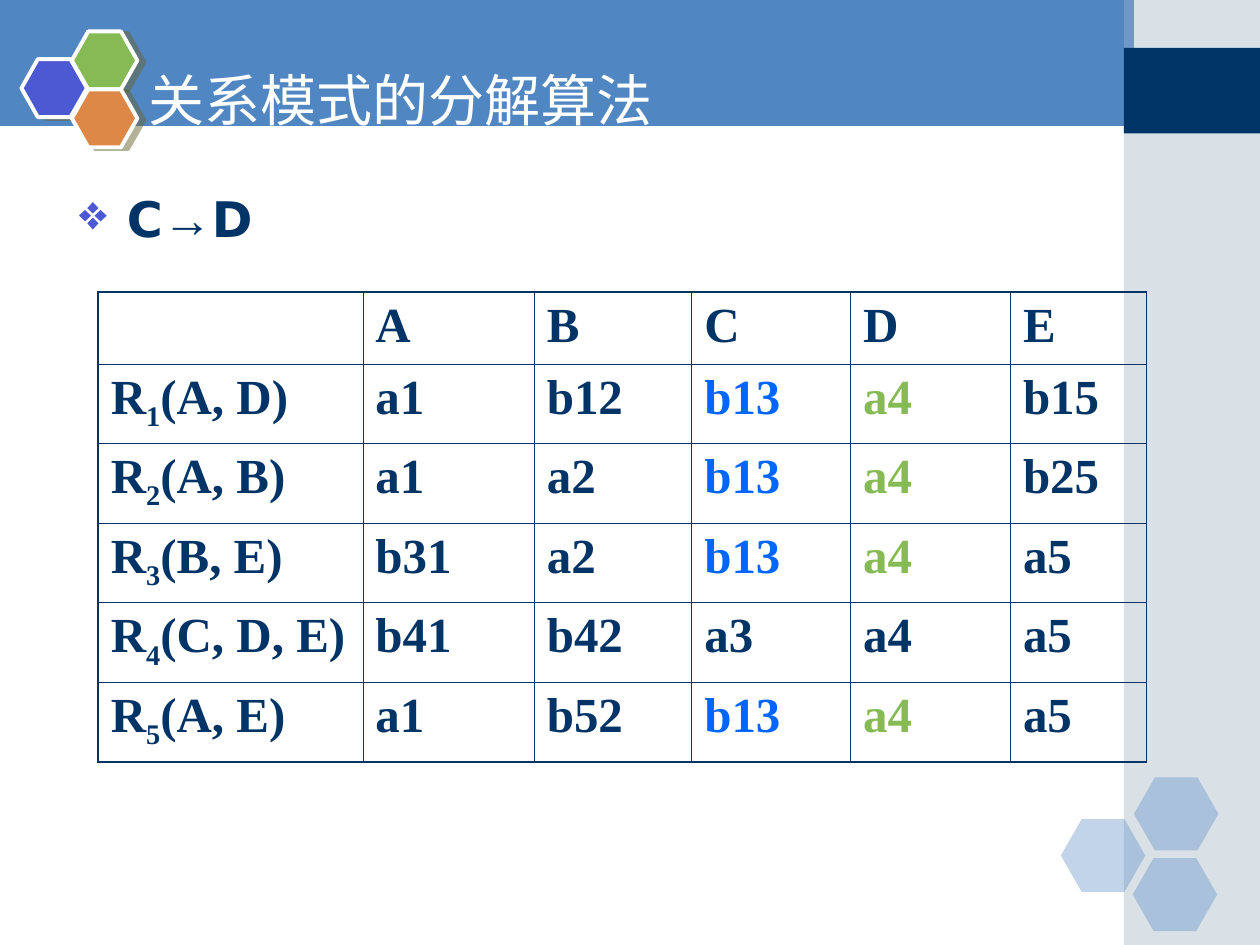
from lxml.etree import SubElement
from pptx import Presentation
from pptx.dml.color import RGBColor
from pptx.enum.shapes import MSO_SHAPE as Shape
from pptx.enum.text import MSO_ANCHOR, MSO_AUTO_SIZE, PP_ALIGN
from pptx.oxml import parse_xml
from pptx.oxml.ns import nsdecls, qn
from pptx.util import Inches, Pt

NAVY = RGBColor(0x00, 0x33, 0x66)
BLUE = RGBColor(0x50, 0x86, 0xC2)
PALE = RGBColor(0xA0, 0xB5, 0xC4)
VIOLET = RGBColor(0x4C, 0x59, 0xD2)
GREEN = RGBColor(0x85, 0xBA, 0x54)
ORANGE = RGBColor(0xDE, 0x88, 0x48)
BRIGHT = RGBColor(0x00, 0x66, 0xFF)
WHITE = RGBColor(0xFF, 0xFF, 0xFF)


def add_block(kind, left, top, width, height, color, opacity=100):
    block = slide.shapes.add_shape(kind, Inches(left), Inches(top), Inches(width), Inches(height))
    block.shadow.inherit = False
    block.fill.solid()
    block.fill.fore_color.rgb = color
    block.line.fill.background()
    if opacity < 100:
        srgb = block.element.spPr.find(qn("a:solidFill"))[0]
        SubElement(srgb, qn("a:alpha"), val=str(opacity * 1000))
    return block


def add_run(paragraph, text, **format_values):
    run = paragraph.add_run()
    run.text = text
    color = format_values.pop("color")
    for name, value in format_values.items():
        setattr(run.font, name, value)
    run.font.color.rgb = color
    return run


prs = Presentation()
prs.slide_width, prs.slide_height = Inches(10), Inches(7.5)
slide = prs.slides.add_slide(prs.slide_layouts[5])

outline = slide.shapes.build_freeform(-0.01, 0.38, scale=Inches(1))
outline.add_line_segments([(8.95, 0.38), (8.95, 1.06), (-0.01, 1.07)], close=True)
banner = outline.convert_to_shape()
banner.shadow.inherit = False
banner.fill.solid()
banner.fill.fore_color.rgb = BLUE
banner.line.fill.background()

add_block(Shape.RECTANGLE, 8.92, 0, 1.08, 7.5, PALE, 40)
add_block(Shape.RECTANGLE, 8.92, 0.38, 1.08, 0.68, NAVY)

for left, top in [(8.42, 6.5), (9, 6.17), (8.99, 6.81)]:
    pale_hexagon = add_block(Shape.HEXAGON, left, top, 0.67, 0.58, BLUE, 35)
    pale_hexagon.adjustments[0] = 0.286

for left, top, color in [(0.17, 0.47, VIOLET), (0.57, 0.25, GREEN), (0.57, 0.71, ORANGE)]:
    hexagon = add_block(Shape.HEXAGON, left, top, 0.52, 0.46, color)
    hexagon.adjustments[0] = 0.283
    hexagon.line.color.rgb = WHITE
    hexagon.line.width = Pt(2.25)
    effects = hexagon.element.spPr.find(qn("a:effectLst"))
    effects.append(parse_xml(
        f'<a:outerShdw {nsdecls("a")} blurRad="0" dist="{Pt(4.1)}" dir="840000" algn="ctr" rotWithShape="0">'
        '<a:srgbClr val="666633"><a:alpha val="50000"/></a:srgbClr></a:outerShdw>'))

title = slide.shapes.title
slide.shapes.element.append(title.element)
title.left, title.top, title.width, title.height = map(Inches, (1.08, 0.5, 8.5, 0.57))
title.text_frame.auto_size = MSO_AUTO_SIZE.NONE
title.text_frame.vertical_anchor = MSO_ANCHOR.MIDDLE
heading = title.text_frame.paragraphs[0]
heading.alignment = PP_ALIGN.LEFT
add_run(heading, "关系模式的分解算法", size=Pt(32), name="DejaVu Sans", color=WHITE)

dependency = slide.shapes.add_textbox(Inches(0.53), Inches(1.45), Inches(4.17), Inches(4.5))
dependency.text_frame.word_wrap = True
bullet_line = dependency.text_frame.paragraphs[0]
bullet_props = bullet_line._p.get_or_add_pPr()
bullet_props.set("marL", str(Inches(0.38)))
bullet_props.set("indent", str(Inches(-0.38)))
bullet_color = SubElement(bullet_props, qn("a:buClr"))
SubElement(bullet_color, qn("a:srgbClr"), val=str(VIOLET))
SubElement(bullet_props, qn("a:buChar"), char="❖")
for text, font_name in [("C", "DejaVu Sans"), ("→", "Arial"), ("D", "DejaVu Sans")]:
    add_run(bullet_line, text, size=Pt(28), bold=True, name=font_name, color=NAVY)

column_widths = [2.1, 1.36, 1.25, 1.26, 1.27, 1.08]
row_heights = [0.57] + [0.63] * 5
attributes = ["", "A", "B", "C", "D", "E"]
relations = [
    ["(A, D)", "a1", "b12", "b13", "a4", "b15"],
    ["(A, B)", "a1", "a2", "b13", "a4", "b25"],
    ["(B, E)", "b31", "a2", "b13", "a4", "a5"],
    ["(C, D, E)", "b41", "b42", "a3", "a4", "a5"],
    ["(A, E)", "a1", "b52", "b13", "a4", "a5"],
]
unchanged_row = 4
column_colors = {3: BRIGHT, 4: GREEN}
cell_font = {"size": Pt(28), "bold": True, "name": "Times New Roman"}

tableau = slide.shapes.add_table(
    len(row_heights), len(column_widths), Inches(0.78), Inches(2.32),
    Inches(sum(column_widths)), Inches(sum(row_heights))).table
tableau.first_row = tableau.horz_banding = False
for column, width in zip(tableau.columns, column_widths):
    column.width = Inches(width)
for row, height in zip(tableau.rows, row_heights):
    row.height = Inches(height)

last_row, last_col = len(row_heights) - 1, len(column_widths) - 1
for r, values in enumerate([attributes] + relations):
    for c, value in enumerate(values):
        cell = tableau.cell(r, c)
        cell.fill.background()
        entry = cell.text_frame.paragraphs[0]
        color = NAVY if r in (0, unchanged_row) else column_colors.get(c, NAVY)
        if r and c == 0:
            add_run(entry, "R", color=color, **cell_font)
            index = add_run(entry, str(r), color=color, **cell_font)
            index.font._element.set("baseline", "-25000")
        if value:
            add_run(entry, value, color=color, **cell_font)
        outer_edges = {"lnL": c == 0, "lnR": c == last_col, "lnT": r == 0, "lnB": r == last_row}
        cell_props = cell._tc.get_or_add_tcPr()
        for position, (edge, is_outer) in enumerate(outer_edges.items()):
            line_width = Pt(1.08 if is_outer else 0.45)
            cell_props.insert(position, parse_xml(
                f'<a:{edge} {nsdecls("a")} w="{line_width}"><a:solidFill>'
                f'<a:srgbClr val="{NAVY}"/></a:solidFill></a:{edge}>'))

prs.save("out.pptx")
